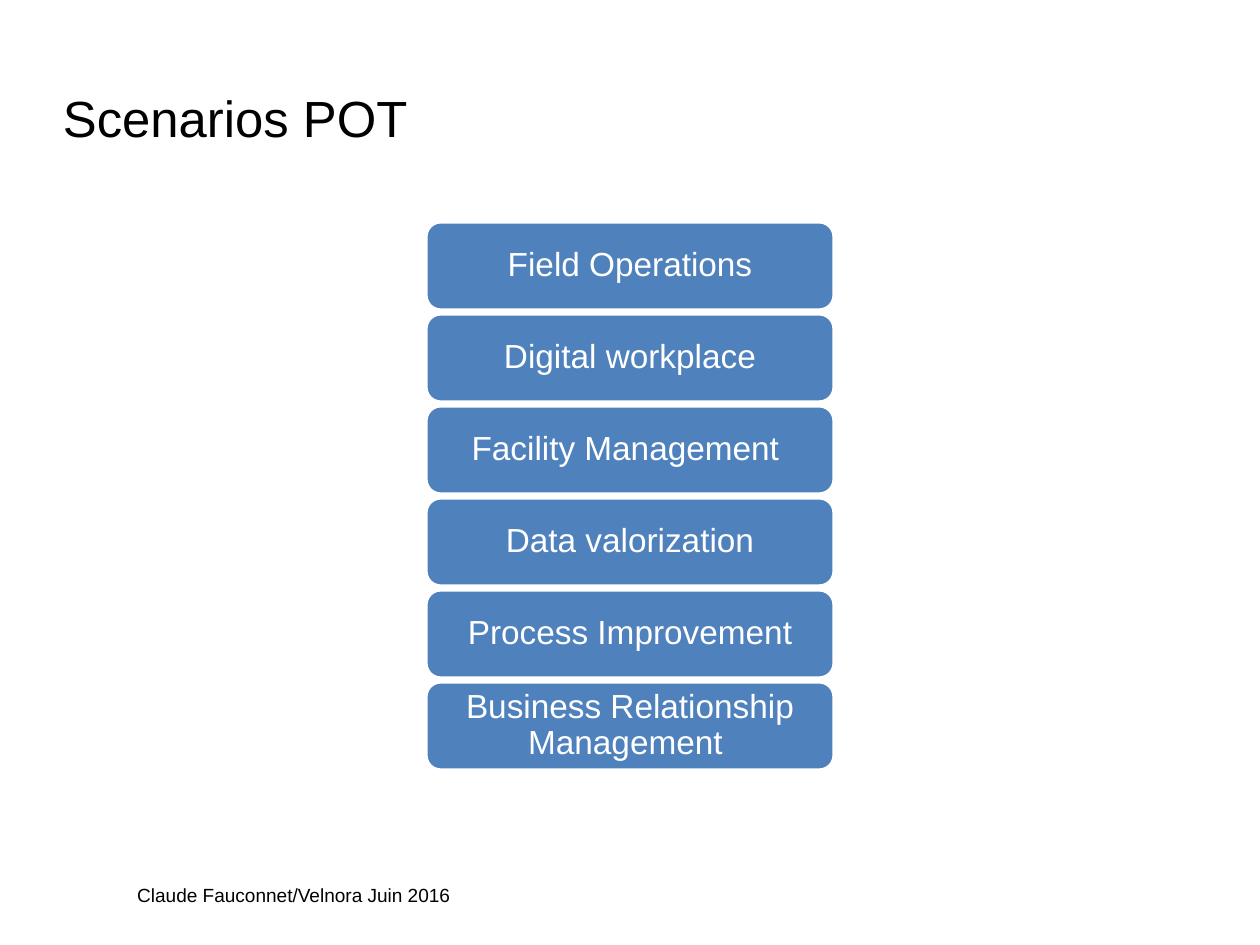
from dataclasses import dataclass

from pptx import Presentation
from pptx.dml.color import RGBColor
from pptx.enum.shapes import MSO_SHAPE
from pptx.enum.text import MSO_ANCHOR, PP_ALIGN
from pptx.slide import Slide
from pptx.text.text import TextFrame
from pptx.util import Emu, Pt


@dataclass(frozen=True)
class Theme:
    font: str = "Arial"
    ink: RGBColor = RGBColor(0x00, 0x00, 0x00)
    paper: RGBColor = RGBColor(0xFF, 0xFF, 0xFF)
    scenario: RGBColor = RGBColor(0x4F, 0x81, 0xBD)
    title_size: int = 32
    scenario_size: int = 21
    footer_size: int = 12
    outline: int = 2


@dataclass(frozen=True)
class Box:
    left: int
    top: int
    width: int
    height: int

    def emu(self) -> tuple[Emu, Emu, Emu, Emu]:
        return px(self.left), px(self.top), px(self.width), px(self.height)


@dataclass(frozen=True)
class Scenario:
    name: str
    box: Box


THEME = Theme()
EMU_PER_PIXEL = 8000
SLIDE_WIDTH, SLIDE_HEIGHT = 1260, 945
TITLE_BOX = Box(63, 38, 1134, 158)
FOOTER_BOX = Box(126, 878, 477, 34)
FIRST_SCENARIO = Box(426, 222, 408, 88)
SCENARIO_PITCH = 92
SCENARIO_NAMES = (
    "Field Operations",
    "Digital workplace",
    "Facility Management ",
    "Data valorization",
    "Process Improvement",
    "Business Relationship Management ",
)


def px(pixels: int) -> Emu:
    return Emu(pixels * EMU_PER_PIXEL)


def set_margins(frame: TextFrame, horizontal: int, vertical: int) -> None:
    frame.margin_left = frame.margin_right = px(horizontal)
    frame.margin_top = frame.margin_bottom = px(vertical)


def write(frame: TextFrame, text: str, size: int, color: RGBColor,
          align: PP_ALIGN, anchor: MSO_ANCHOR) -> None:
    frame.word_wrap = True
    frame.vertical_anchor = anchor
    paragraph = frame.paragraphs[0]
    paragraph.alignment = align
    run = paragraph.add_run()
    run.text = text
    run.font.name = THEME.font
    run.font.size = Pt(size)
    run.font.color.rgb = color


def draw_title(slide: Slide, text: str) -> None:
    title = slide.shapes.title
    title.left, title.top, title.width, title.height = TITLE_BOX.emu()
    set_margins(title.text_frame, 0, 0)
    write(title.text_frame, text, THEME.title_size, THEME.ink,
          PP_ALIGN.LEFT, MSO_ANCHOR.MIDDLE)


def draw_scenario(slide: Slide, scenario: Scenario) -> None:
    shape = slide.shapes.add_shape(MSO_SHAPE.ROUNDED_RECTANGLE, *scenario.box.emu())
    shape.shadow.inherit = False
    shape.fill.solid()
    shape.fill.fore_color.rgb = THEME.scenario
    shape.line.color.rgb = THEME.paper
    shape.line.width = Pt(THEME.outline)
    set_margins(shape.text_frame, 6, 1)
    write(shape.text_frame, scenario.name, THEME.scenario_size, THEME.paper,
          PP_ALIGN.CENTER, MSO_ANCHOR.MIDDLE)
    shape.text_frame.paragraphs[0].line_spacing = 0.9


def draw_footer(slide: Slide, text: str) -> None:
    footer = slide.shapes.add_textbox(*FOOTER_BOX.emu())
    write(footer.text_frame, text, THEME.footer_size, THEME.ink,
          PP_ALIGN.LEFT, MSO_ANCHOR.TOP)


def stack_scenarios() -> list[Scenario]:
    first = FIRST_SCENARIO
    return [
        Scenario(name, Box(first.left, first.top + row * SCENARIO_PITCH,
                           first.width, first.height))
        for row, name in enumerate(SCENARIO_NAMES)
    ]


def main() -> None:
    presentation = Presentation()
    presentation.slide_width = px(SLIDE_WIDTH)
    presentation.slide_height = px(SLIDE_HEIGHT)
    slide = presentation.slides.add_slide(presentation.slide_layouts.get_by_name("Title Only"))
    slide.background.fill.solid()
    slide.background.fill.fore_color.rgb = THEME.paper
    draw_title(slide, "Scenarios POT")
    for scenario in stack_scenarios():
        draw_scenario(slide, scenario)
    draw_footer(slide, "Claude Fauconnet/Velnora Juin 2016")
    presentation.save("out.pptx")


main()
